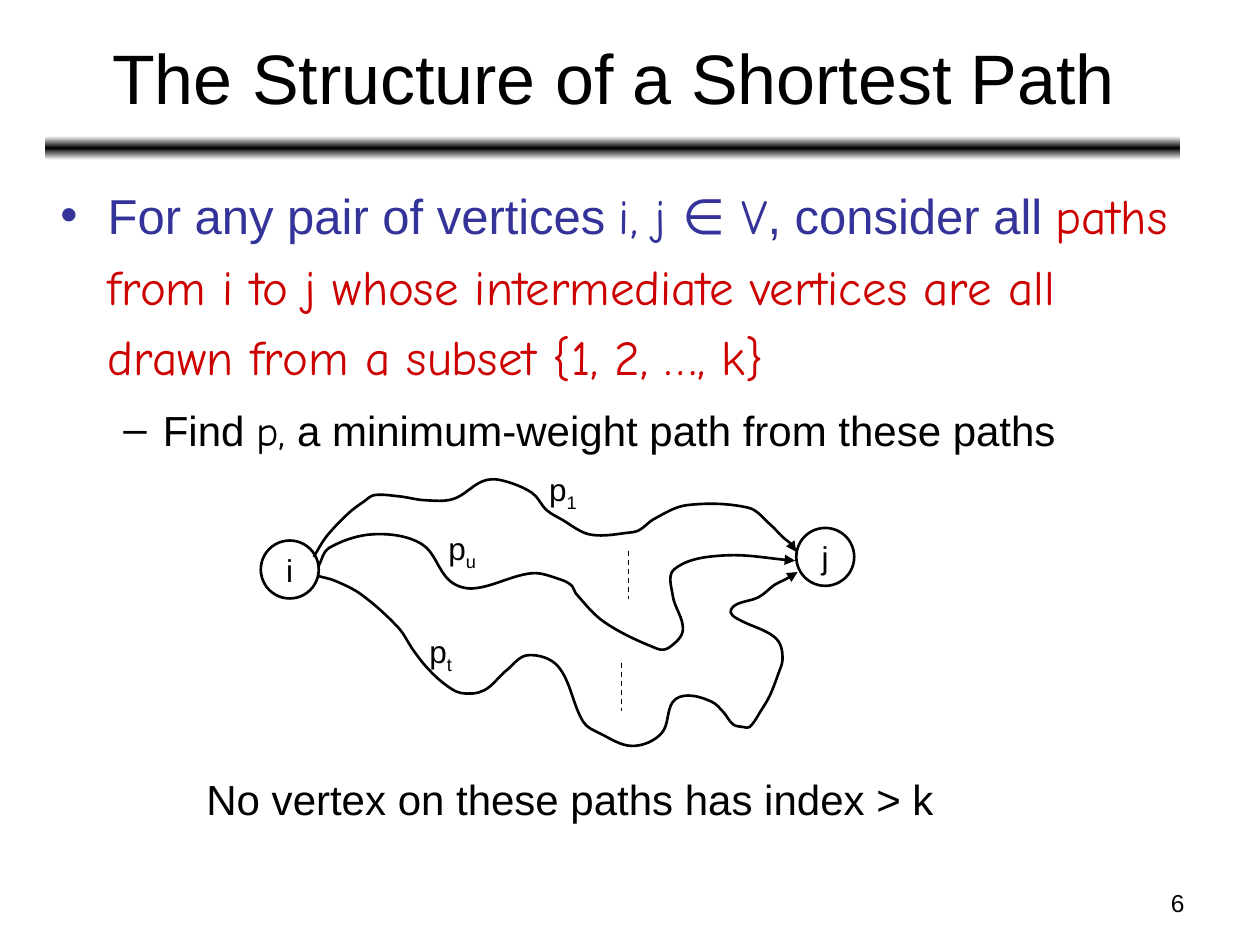
from dataclasses import dataclass
from copy import deepcopy
from math import dist

from lxml.etree import SubElement
from pptx import Presentation
from pptx.dml.color import RGBColor
from pptx.enum.dml import MSO_LINE
from pptx.enum.shapes import MSO_CONNECTOR, MSO_SHAPE
from pptx.enum.text import MSO_ANCHOR, MSO_AUTO_SIZE, PP_ALIGN
from pptx.oxml.ns import qn
from pptx.util import Inches, Pt


@dataclass(frozen=True)
class Theme:
    black: RGBColor = RGBColor(0x00, 0x00, 0x00)
    white: RGBColor = RGBColor(0xFF, 0xFF, 0xFF)
    blue: RGBColor = RGBColor(0x33, 0x33, 0x99)
    red: RGBColor = RGBColor(0xCC, 0x00, 0x00)
    sans: str = "Arial"
    hand: str = "Comic Neue"
    title: int = 40
    body: int = 28
    sub: int = 24
    label: int = 18
    number: int = 14
    stroke: float = 1.5
    thin: float = 0.75


def smooth_controls(knots):
    """Return the two handles and the end point of each curve segment."""
    last = len(knots) - 1
    tangents = []
    for i in range(last + 1):
        before, after = knots[max(i - 1, 0)], knots[min(i + 1, last)]
        span = dist(before, after)
        tangents.append([(b - a) / span for a, b in zip(before, after)])
    points = []
    for i in range(last):
        start, end = knots[i], knots[i + 1]
        reach = dist(start, end) / 3
        points.append([p + t * reach for p, t in zip(start, tangents[i])])
        points.append([p - t * reach for p, t in zip(end, tangents[i + 1])])
        points.append(end)
    return points


class SlideBuilder:
    def __init__(self, slide, theme):
        self.slide = slide
        self.theme = theme

    def place(self, shape, left, top, width, height):
        shape.left, shape.top = Inches(left), Inches(top)
        shape.width, shape.height = Inches(width), Inches(height)

    def run(self, paragraph, text, size, color=None, font=None, subscript=False):
        run = paragraph.add_run()
        run.text = text
        run.font.size = Pt(size)
        run.font.name = font or self.theme.sans
        run.font.color.rgb = color or self.theme.black
        if subscript:
            run.font._element.set("baseline", "-25000")

    def outline(self, shape, width=None):
        shape.line.color.rgb = self.theme.black
        shape.line.width = Pt(width or self.theme.stroke)

    def title(self, text, box):
        heading = self.slide.shapes.title
        self.place(heading, *box)
        heading.text_frame.vertical_anchor = MSO_ANCHOR.MIDDLE
        self.run(heading.text_frame.paragraphs[0], text, self.theme.title)

    def bullets(self, items, box):
        """Each item is (level, size, [(text, colour, font), ...])."""
        body = self.slide.placeholders[1]
        self.place(body, *box)
        frame = body.text_frame
        frame.auto_size = MSO_AUTO_SIZE.NONE
        for i, (level, size, parts) in enumerate(items):
            paragraph = frame.add_paragraph() if i else frame.paragraphs[0]
            paragraph.level = level
            paragraph.line_spacing = 1.2
            for text, color, font in parts:
                self.run(paragraph, text, size, color, font)

    def rule(self, box):
        bar = self.slide.shapes.add_shape(
            MSO_SHAPE.ROUNDED_RECTANGLE, *map(Inches, box))
        bar.shadow.inherit = False
        bar.line.fill.background()
        bar.fill.gradient()
        bar.fill.gradient_angle = 90
        stop_list = bar._element.spPr.find(qn("a:gradFill")).find(qn("a:gsLst"))
        stop_list.append(deepcopy(stop_list[0]))
        colors = (self.theme.white, self.theme.black, self.theme.white)
        for stop, color, position in zip(bar.fill.gradient_stops, colors, (0, 0.5, 1)):
            stop.color.rgb = color
            stop.position = position

    def text(self, parts, box, size, align=PP_ALIGN.LEFT, wrap=False):
        """Parts are (text, is_subscript) pairs."""
        frame = self.slide.shapes.add_textbox(*map(Inches, box)).text_frame
        frame.word_wrap = wrap
        paragraph = frame.paragraphs[0]
        paragraph.alignment = align
        for text, subscript in parts:
            self.run(paragraph, text, size, subscript=subscript)

    def vertex(self, name, left, top, size=0.46):
        circle = self.slide.shapes.add_shape(
            MSO_SHAPE.OVAL, *map(Inches, (left, top, size, size)))
        circle.shadow.inherit = False
        circle.fill.background()
        self.outline(circle)
        frame = circle.text_frame
        frame.word_wrap = False
        frame.vertical_anchor = MSO_ANCHOR.MIDDLE
        frame.paragraphs[0].alignment = PP_ALIGN.CENTER
        self.run(frame.paragraphs[0], name, self.theme.label)

    def curved_arrow(self, knots):
        builder = self.slide.shapes.build_freeform(*map(Inches, knots[0]))
        builder.add_line_segments(
            [tuple(map(Inches, p)) for p in smooth_controls(knots)], close=False)
        curve = builder.convert_to_shape()
        curve.shadow.inherit = False
        curve.fill.background()
        self.outline(curve)
        # Turn each three straight steps into one Bézier segment
        outline = next(curve._element.iter(qn("a:path")[:-4] + "path"))
        steps = outline.findall(qn("a:lnTo"))
        for i in range(0, len(steps), 3):
            bezier = SubElement(outline, qn("a:cubicBezTo"))
            for step in steps[i:i + 3]:
                bezier.append(step[0])
                outline.remove(step)
        SubElement(curve.line._get_or_add_ln(), qn("a:tailEnd"), type="triangle")

    def dashed_line(self, x, top, length=0.38):
        line = self.slide.shapes.add_connector(
            MSO_CONNECTOR.STRAIGHT, *map(Inches, (x, top, x, top + length)))
        self.outline(line, self.theme.thin)
        line.line.dash_style = MSO_LINE.DASH
        SubElement(line._element.spPr, qn("a:effectLst"))


PATH_U = [
    (2.53, 4.49), (2.61, 4.35), (2.97, 4.24), (3.35, 4.32), (3.57, 4.61),
    (3.76, 4.67), (4.22, 4.55), (4.45, 4.6), (4.54, 4.65), (4.57, 4.71),
    (4.8, 4.94), (5.22, 5.15), (5.31, 5.14), (5.42, 5), (5.34, 4.73),
    (5.35, 4.52), (5.72, 4.41), (6.31, 4.45)]
PATH_1 = [
    (2.49, 4.42), (2.59, 4.26), (2.77, 4.07), (2.89, 3.98), (2.97, 3.93),
    (3.17, 3.94), (3.37, 3.97), (3.6, 3.96), (3.83, 3.82), (3.97, 3.81),
    (4.22, 3.91), (4.34, 4.05), (4.47, 4.13), (4.64, 4.23), (4.77, 4.25),
    (4.97, 4.23), (5.07, 4.21), (5.19, 4.12), (5.45, 4.01), (5.94, 4.03),
    (6.11, 4.16), (6.22, 4.27), (6.27, 4.31), (6.32, 4.38)]
PATH_T = [
    (2.52, 4.57), (2.66, 4.61), (2.87, 4.72), (3.16, 4.98), (3.28, 5.16),
    (3.39, 5.3), (3.53, 5.43), (3.66, 5.5), (3.84, 5.48), (4.02, 5.32),
    (4.19, 5.2), (4.43, 5.29), (4.63, 5.73), (4.76, 5.82), (5.02, 5.92),
    (5.25, 5.82), (5.34, 5.57), (5.46, 5.52), (5.65, 5.57), (5.74, 5.65),
    (5.82, 5.75), (5.9, 5.77), (5.95, 5.77), (6.04, 5.64), (6.11, 5.52),
    (6.18, 5.34), (6.21, 5.24), (6.19, 5.11), (6.11, 5.03), (5.87, 4.92),
    (5.8, 4.86), (5.84, 4.8), (6.02, 4.74), (6.15, 4.64), (6.23, 4.6),
    (6.33, 4.54)]


def main():
    deck = Presentation()
    deck.slide_width, deck.slide_height = Inches(10), Inches(7.5)
    theme = Theme()
    page = SlideBuilder(deck.slides.add_slide(deck.slide_layouts[1]), theme)

    # Heading, rule and slide number
    page.rule((0.36, 1.08, 9.01, 0.19))
    page.title("The Structure of a Shortest Path", (0.37, 0.11, 9, 0.99))
    page.text([("6", False)], (7.17, 7, 2.33, 0.35), theme.number,
              PP_ALIGN.RIGHT, wrap=True)

    # Statement of the problem
    page.bullets([
        (0, theme.body, [
            ("For any pair of vertices ", theme.blue, theme.sans),
            ("i, j ∈ V", theme.blue, theme.hand),
            (", consider all ", theme.blue, theme.sans),
            ("paths from i to j whose intermediate vertices are all drawn "
             "from a subset {1, 2, …, k}", theme.red, theme.hand)]),
        (1, theme.sub, [
            ("Find ", theme.black, theme.sans),
            ("p,", theme.black, theme.hand),
            (" a minimum-weight path from these paths", theme.black, theme.sans)]),
    ], (0.38, 1.33, 9, 2.68))

    # Vertices and the paths between them
    page.vertex("i", 2.07, 4.29)
    page.vertex("j", 6.32, 4.19)
    for knots in (PATH_U, PATH_1, PATH_T):
        page.curved_arrow(knots)
    page.dashed_line(4.99, 4.37)
    page.dashed_line(4.93, 5.26)
    for index, left, top in (("1", 4.26, 3.68), ("u", 3.46, 4.15), ("t", 3.31, 4.97)):
        page.text([("p", False), (index, True)], (left, top, 0.43, 0.4), theme.label)

    # Remark below the diagram
    page.text([("No vertex on these paths has index > k", False)],
              (1.54, 6.09, 5.97, 0.5), theme.sub)

    deck.save("out.pptx")


if __name__ == "__main__":
    main()
